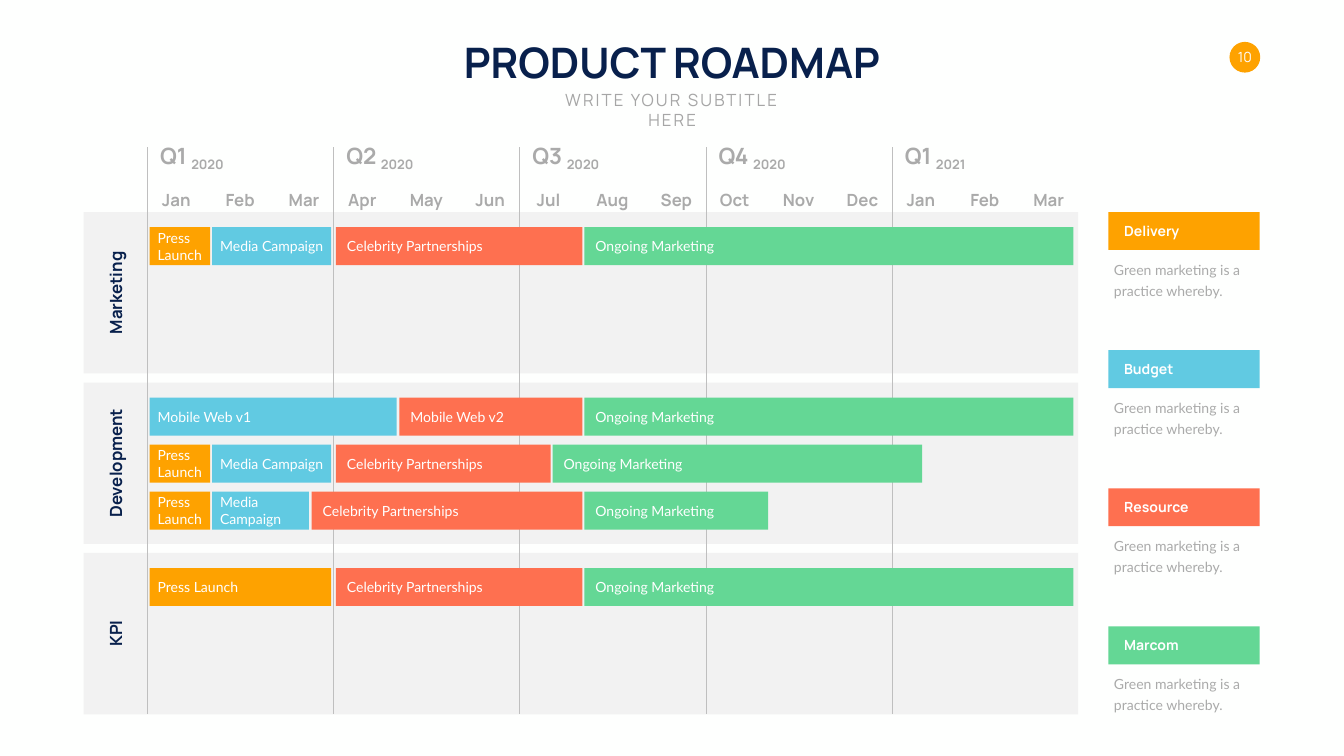
from dataclasses import dataclass

from lxml.etree import SubElement
from pptx import Presentation
from pptx.dml.color import RGBColor
from pptx.enum.shapes import MSO_CONNECTOR as Connector, MSO_SHAPE as Preset
from pptx.enum.text import MSO_ANCHOR as Anchor, PP_ALIGN as Align
from pptx.oxml.ns import qn
from pptx.util import Cm, Pt


@dataclass(frozen=True)
class Theme:
    paper: str = "FEFFFE"
    white: str = "FFFFFF"
    navy: str = "08204C"
    label: str = "AAAAAA"
    subtitle: str = "A6A6A6"
    lane: str = "F2F2F2"
    rule: str = "BFBFBF"
    delivery: str = "FEA200"
    budget: str = "61CAE2"
    resource: str = "FE7050"
    marcom: str = "64D795"
    heading: str = "Manrope"
    body: str = "Lato"
    title_size: int = 60
    quarter_size: int = 32
    label_size: int = 24
    body_size: int = 20


THEME = Theme()

# Grid, in centimetres
QUARTER_LEFT, QUARTER_PITCH = 7.42, 9.38
RULE_TOP, RULE_BOTTOM = 7.42, 36
MONTH_OFFSET, MONTH_PITCH = 1.46, 3.22
LANE_LEFT, LANE_TOP, LANE_WIDTH, LANE_HEIGHT, LANE_PITCH = 4.22, 10.69, 50.11, 8.13, 8.59
BAR_OFFSET, BAR_PITCH, BAR_HEIGHT = 0.76, 2.37, 1.91
KEY_LEFT, KEY_WIDTH, KEY_PITCH = 55.85, 7.62, 6.96

QUARTERS = [
    ("Q1", "2020", "Jan Feb Mar"),
    ("Q2", "2020", "Apr May Jun"),
    ("Q3", "2020", "Jul Aug Sep"),
    ("Q4", "2020", "Oct Nov Dec"),
    ("Q1", "2021", "Jan Feb Mar"),
]

# Each lane holds rows of bars: text, kind, left edge, right edge
LAUNCH = ("Press\nLaunch", "delivery", 7.54, 10.59)
MEDIA = ("Media Campaign", "budget", 10.69, 16.69)
PARTNERS = ("Celebrity Partnerships", "resource", 16.92, 29.34)
ONGOING = ("Ongoing Marketing", "marcom", 29.44, 54.08)
LANES = [
    ("Marketing", [[LAUNCH, MEDIA, PARTNERS, ONGOING]]),
    ("Development", [
        [("Mobile Web v1", "budget", 7.54, 19.99),
         ("Mobile Web v2", "resource", 20.12, 29.34),
         ONGOING],
        [LAUNCH, MEDIA,
         ("Celebrity Partnerships", "resource", 16.92, 27.74),
         ("Ongoing Marketing", "marcom", 27.84, 46.46)],
        [LAUNCH,
         ("Media\nCampaign", "budget", 10.69, 15.57),
         ("Celebrity Partnerships", "resource", 15.7, 29.34),
         ("Ongoing Marketing", "marcom", 29.44, 38.71)],
    ]),
    ("KPI", [[("Press Launch", "delivery", 7.54, 16.69), PARTNERS, ONGOING]]),
]
BAR_INSET = {"delivery": 0.4, "budget": 0.4, "resource": 0.56, "marcom": 0.56}

KEYS = ["Delivery", "Budget", "Resource", "Marcom"]
KEY_NOTE = "Green marketing is a practice whereby."


def write(shape, text, size, color, font=THEME.heading, bold=False,
          align=Align.LEFT, anchor=Anchor.MIDDLE, inset=(0, 0), wrap=True):
    """Fill a shape with text; inset is (left and top) in centimetres."""
    frame = shape.text_frame
    frame.text = text
    frame.word_wrap = wrap
    frame.vertical_anchor = anchor
    frame.margin_left, frame.margin_top = (Cm(side) for side in inset)
    frame.margin_right, frame.margin_bottom = 0, Cm(inset[1])
    for paragraph in frame.paragraphs:
        paragraph.alignment = align
        paragraph.font.name = font
        paragraph.font.size = Pt(size)
        paragraph.font.bold = bold
        paragraph.font.color.rgb = RGBColor.from_string(color)
    return frame.paragraphs[0]


def add_block(slide, left, top, width, height, color, preset=Preset.RECTANGLE):
    block = slide.shapes.add_shape(preset, Cm(left), Cm(top), Cm(width), Cm(height))
    block.shadow.inherit = False
    block.fill.solid()
    block.fill.fore_color.rgb = RGBColor.from_string(color)
    block.line.fill.background()
    return block


def add_box(slide, left, top, width, height):
    return slide.shapes.add_textbox(Cm(left), Cm(top), Cm(width), Cm(height))


def add_rule(slide, x):
    rule = slide.shapes.add_connector(
        Connector.STRAIGHT, Cm(x), Cm(RULE_TOP), Cm(x), Cm(RULE_BOTTOM))
    rule.line.color.rgb = RGBColor.from_string(THEME.rule)
    rule.line.width = Pt(0.5)
    SubElement(rule._element.spPr, qn("a:effectLst"))


def add_header(slide):
    title = add_box(slide, 22.66, 1.7, 22.4, 2.82)
    write(title, "PRODUCT ROADMAP", THEME.title_size, THEME.navy, bold=True,
          align=Align.CENTER, anchor=Anchor.TOP, inset=(0, 0.13), wrap=False)
    subtitle = add_box(slide, 27.23, 4.37, 13.28, 2.3)
    line = write(subtitle, "WRITE YOUR SUBTITLE HERE", THEME.label_size, THEME.subtitle,
                 align=Align.CENTER, anchor=Anchor.TOP, inset=(0, 0.13))
    line.runs[0]._r.get_or_add_rPr().set("spc", "300")
    badge = add_block(slide, 61.95, 2.11, 1.55, 1.55, THEME.delivery, Preset.OVAL)
    write(badge, "10", THEME.body_size, THEME.white, align=Align.CENTER, wrap=False)


def add_quarter(slide, x, quarter, year, months):
    heading = add_box(slide, x + 0.4, 7.19, 4.3, 1.63)
    line = write(heading, f"{quarter} ", THEME.quarter_size, THEME.label, bold=True,
                 anchor=Anchor.BOTTOM, inset=(0.25, 0.13))
    year_run = line.add_run()
    year_run.text = year
    year_run._r.get_or_add_rPr().set("baseline", "-25000")
    for index, month in enumerate(months.split()):
        center = x + MONTH_OFFSET + index * MONTH_PITCH
        label = add_box(slide, center - 1.2, 9.42, 2.4, 1.27)
        write(label, month, THEME.label_size, THEME.label, bold=True,
              align=Align.CENTER, anchor=Anchor.BOTTOM, inset=(0, 0.13))


def add_lane_content(slide, top, name, rows):
    width, height = 6.46, 1.27
    label = add_box(slide, 5.82 - width / 2, top + (LANE_HEIGHT - height) / 2, width, height)
    label.rotation = 270
    write(label, name, THEME.label_size, THEME.navy, bold=True, align=Align.CENTER)
    for index, row in enumerate(rows):
        bar_top = top + BAR_OFFSET + index * BAR_PITCH
        for text, kind, left, right in row:
            bar = add_block(slide, left, bar_top, right - left, BAR_HEIGHT,
                            getattr(THEME, kind))
            write(bar, text, THEME.body_size, THEME.white, THEME.body,
                  inset=(BAR_INSET[kind], 0))


def add_key(slide, top, name):
    tag = add_block(slide, KEY_LEFT, top, KEY_WIDTH, BAR_HEIGHT, getattr(THEME, name.lower()))
    write(tag, name, THEME.body_size, THEME.white, bold=True, inset=(0.79, 0))
    note = add_box(slide, KEY_LEFT, top + 2.13, KEY_WIDTH, 2.29)
    line = write(note, KEY_NOTE, THEME.body_size, THEME.label, THEME.body,
                 anchor=Anchor.TOP, inset=(0.28, 0.13))
    line.line_spacing = Pt(30)


def main():
    deck = Presentation()
    deck.slide_width, deck.slide_height = Cm(67.72), Cm(38.1)
    slide = deck.slides.add_slide(deck.slide_layouts[6])
    slide.background.fill.solid()
    slide.background.fill.fore_color.rgb = RGBColor.from_string(THEME.paper)

    add_header(slide)

    # Lane bands lie under the quarter rules, bars above them
    lane_tops = [LANE_TOP + index * LANE_PITCH for index in range(len(LANES))]
    for top in lane_tops:
        add_block(slide, LANE_LEFT, top, LANE_WIDTH, LANE_HEIGHT, THEME.lane)
    for index, quarter in enumerate(QUARTERS):
        x = QUARTER_LEFT + index * QUARTER_PITCH
        add_rule(slide, x)
        add_quarter(slide, x, *quarter)
    for top, lane in zip(lane_tops, LANES):
        add_lane_content(slide, top, *lane)

    # Key of bar colours
    for index, name in enumerate(KEYS):
        add_key(slide, LANE_TOP + index * KEY_PITCH, name)

    deck.save("out.pptx")


if __name__ == "__main__":
    main()
